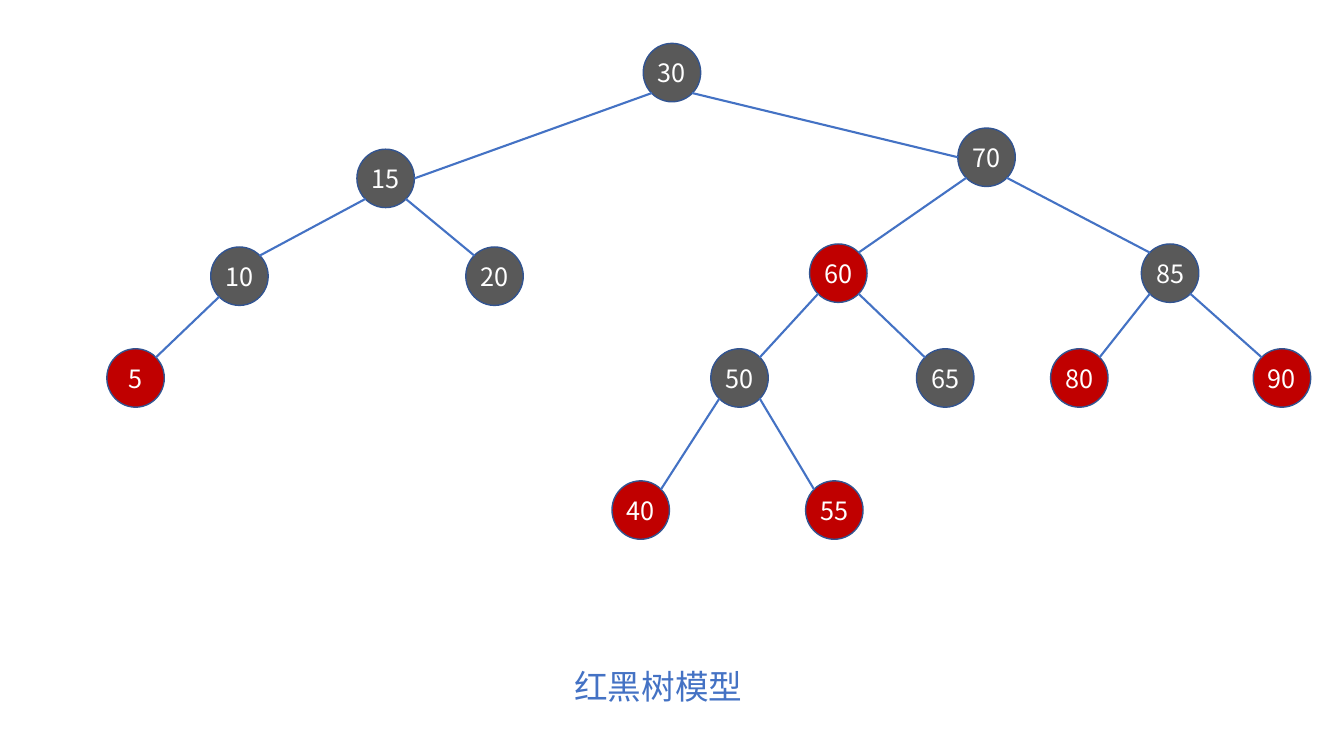
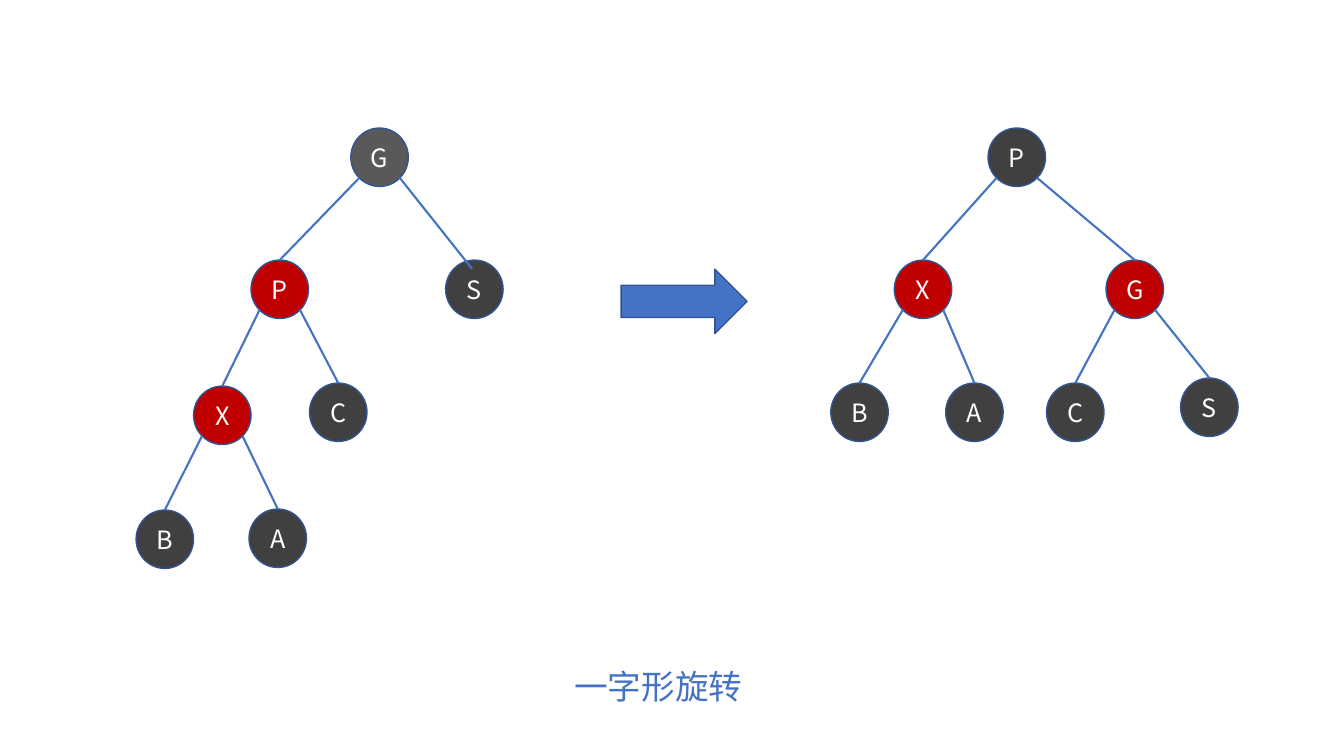
from lxml import etree
from pptx import Presentation
from pptx.dml.color import RGBColor
from pptx.enum import shapes, text
from pptx.oxml.ns import qn
from pptx.util import Inches, Pt

FONT = "Noto Sans CJK SC"
GRAY = RGBColor(0x59, 0x59, 0x59)
DARK = RGBColor(0x40, 0x40, 0x40)
RED = RGBColor(0xC0, 0x00, 0x00)
BLUE = RGBColor(0x44, 0x72, 0xC4)
NAVY = RGBColor(0x32, 0x54, 0x91)
WHITE = RGBColor(0xFF, 0xFF, 0xFF)

NODE_W, NODE_H = 0.57, 0.58
NEAR, FAR = 0.15, 0.85  # diagonal points of a circle, as fractions of its box

# Where an edge lands on a left child, in fractions of its box;
# a right child takes the mirror image.
TOP, CORNER, SIDE, INSIDE = (0.5, 0), (FAR, NEAR), (1, 0.5), (0.54, 0.15)

# Node: label, parent, left, top, fill, landing point of the parent's edge
MODEL_TREE = [
    ("30", None, 6.38, 0.43, GRAY, None),
    ("15", "30", 3.54, 1.48, GRAY, SIDE),
    ("70", "30", 9.5, 1.27, GRAY, SIDE),
    ("10", "15", 2.09, 2.45, GRAY, CORNER),
    ("20", "15", 4.62, 2.45, GRAY, CORNER),
    ("60", "70", 8.03, 2.42, RED, CORNER),
    ("85", "70", 11.32, 2.42, GRAY, CORNER),
    ("5", "10", 1.06, 3.46, RED, CORNER),
    ("50", "60", 7.05, 3.46, GRAY, CORNER),
    ("65", "60", 9.09, 3.46, GRAY, CORNER),
    ("80", "85", 10.42, 3.46, RED, CORNER),
    ("90", "85", 12.43, 3.46, RED, CORNER),
    ("40", "50", 6.07, 4.77, RED, CORNER),
    ("55", "50", 7.99, 4.77, RED, CORNER),
]
TREE_BEFORE = [
    ("G", None, 3.48, 1.27, GRAY, None),
    ("P", "G", 2.49, 2.58, RED, TOP),
    ("S", "G", 4.42, 2.58, DARK, INSIDE),
    ("X", "P", 1.92, 3.83, RED, TOP),
    ("C", "P", 3.07, 3.8, DARK, TOP),
    ("B", "X", 1.35, 5.06, DARK, TOP),
    ("A", "X", 2.47, 5.05, DARK, TOP),
]
TREE_AFTER = [
    ("P", None, 9.8, 1.27, DARK, None),
    ("X", "P", 8.87, 2.58, RED, TOP),
    ("G", "P", 10.97, 2.58, RED, TOP),
    ("B", "X", 8.24, 3.8, DARK, TOP),
    ("A", "X", 9.38, 3.8, DARK, TOP),
    ("C", "G", 10.38, 3.8, DARK, TOP),
    ("S", "G", 11.71, 3.75, DARK, TOP),
]
ROTATION_ARROW = (6.16, 2.67, 1.25, 0.64)
SLIDES = [
    ("红黑树模型", [MODEL_TREE], None),
    ("一字形旋转", [TREE_BEFORE, TREE_AFTER], ROTATION_ARROW),
]


def write(frame, words, size, color):
    paragraph = frame.paragraphs[0]
    paragraph.alignment = text.PP_ALIGN.CENTER
    run = paragraph.add_run()
    run.text = words
    run.font.size = Pt(size)
    run.font.color.rgb = color
    run.font.name = FONT
    east_asian = etree.SubElement(run.font._element, qn("a:ea"))
    east_asian.set("typeface", FONT)


def add_filled(slide, kind, box, fill):
    shape = slide.shapes.add_shape(kind, *map(Inches, box))
    shape.shadow.inherit = False
    shape.fill.solid()
    shape.fill.fore_color.rgb = fill
    shape.line.color.rgb = NAVY
    shape.line.width = Pt(1)
    return shape


def add_node(slide, label, left, top, fill):
    node = add_filled(slide, shapes.MSO_SHAPE.OVAL,
                      (left, top, NODE_W, NODE_H), fill)
    frame = node.text_frame
    frame.margin_left = frame.margin_right = 0
    frame.margin_top = frame.margin_bottom = 0
    frame.vertical_anchor = text.MSO_ANCHOR.MIDDLE
    frame.word_wrap = False
    write(frame, label, 18, WHITE)


def add_edge(slide, parent, child, landing):
    """Join a lower diagonal point of the parent to the child's landing point."""
    def point(corner, fractions):
        across, down = fractions
        if child[0] > parent[0]:
            across = 1 - across
        return (Inches(corner[0] + across * NODE_W),
                Inches(corner[1] + down * NODE_H))

    edge = slide.shapes.add_connector(
        shapes.MSO_CONNECTOR.STRAIGHT,
        *point(parent, (NEAR, FAR)), *point(child, landing))
    edge.line.color.rgb = BLUE
    edge.line.width = Pt(1.5)
    etree.SubElement(edge._element.spPr, qn("a:effectLst"))


def add_tree(slide, tree):
    corners = {label: (left, top) for label, _, left, top, _, _ in tree}
    for label, _, left, top, fill, _ in tree:
        add_node(slide, label, left, top, fill)
    for label, parent, _, _, _, landing in tree:
        if parent:
            add_edge(slide, corners[parent], corners[label], landing)


def style_caption(layout):
    """Move the layout's title to the foot, where every slide inherits it."""
    caption = layout.placeholders[0]
    caption.left, caption.top = Inches(0.38), Inches(6.56)
    caption.width, caption.height = Inches(12.3), Inches(0.5)
    frame = caption.text_frame
    frame.vertical_anchor = text.MSO_ANCHOR.TOP
    frame.auto_size = text.MSO_AUTO_SIZE.NONE
    frame.word_wrap = True


def main():
    deck = Presentation()
    deck.slide_width, deck.slide_height = Inches(13.33), Inches(7.5)
    title_only = deck.slide_layouts[5]
    style_caption(title_only)
    for caption, trees, arrow in SLIDES:
        slide = deck.slides.add_slide(title_only)
        write(slide.shapes.title.text_frame, caption, 24, BLUE)
        for tree in trees:
            add_tree(slide, tree)
        if arrow:
            add_filled(slide, shapes.MSO_SHAPE.RIGHT_ARROW, arrow, BLUE)
    deck.save("out.pptx")


if __name__ == "__main__":
    main()
